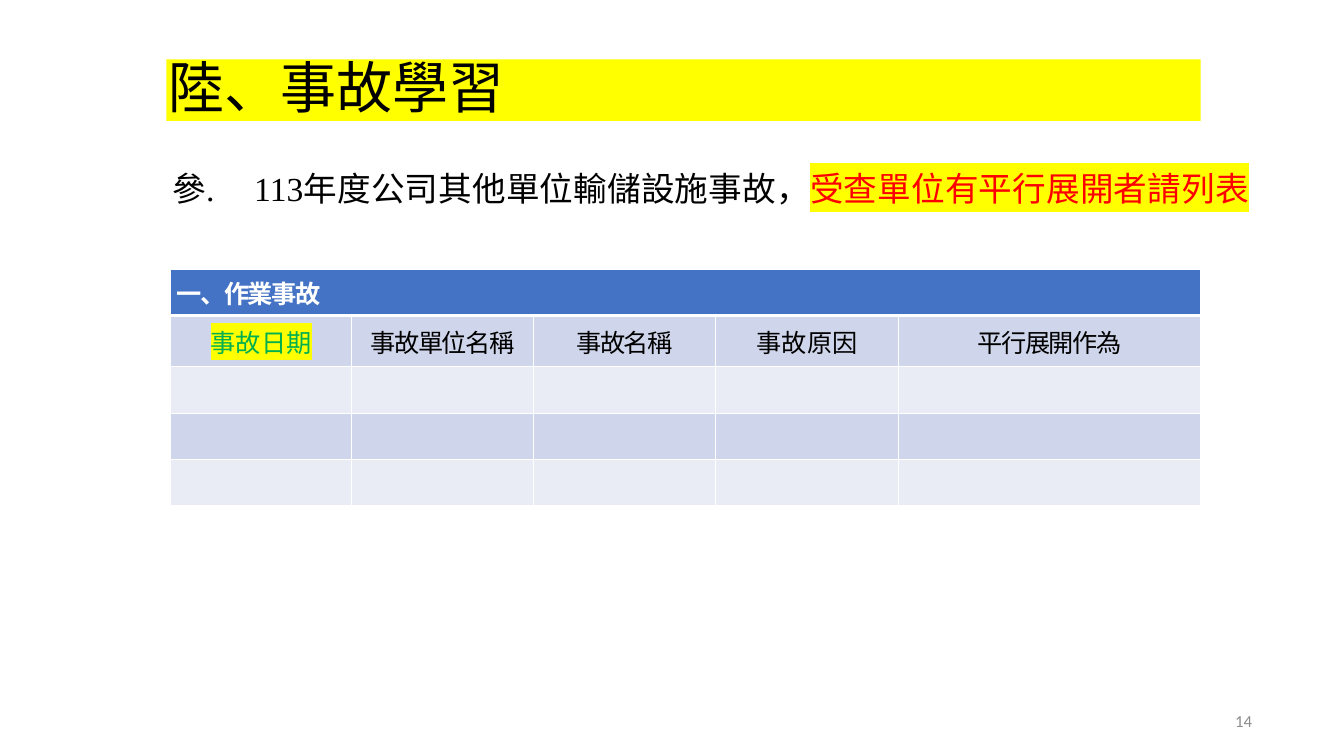
from pptx import Presentation
from pptx.dml.color import RGBColor
from pptx.enum.text import MSO_ANCHOR as Anchor, MSO_AUTO_SIZE as AutoSize, PP_ALIGN as Align
from pptx.oxml.ns import qn
from pptx.util import Inches, Pt
from lxml.etree import SubElement, Element

SERIF, SANS, NUMERAL = "Times New Roman", "Noto Sans CJK SC", "Calibri"
BLACK, WHITE, YELLOW, RED, GREEN = "000000", "FFFFFF", "FFFF00", "FF0000", "00B050"
HEADER_BLUE, BAND_DARK, BAND_LIGHT, GREY = "4472C4", "CFD5EA", "E9EBF5", "8C8C8C"


def color(value):
    return RGBColor.from_string(value)


def add_color(parent, tag, value):
    SubElement(SubElement(parent, qn(tag)), qn("a:srgbClr"), val=value)


class SlideBuilder:
    """Places elements on a grid whose columns and rows are 0.1 inch."""
    unit = 0.1

    def __init__(self, slide):
        self.slide = slide

    def grid(self, *steps):
        return [Inches(step * self.unit) for step in steps]

    def add_runs(self, paragraph, runs, size, font, bold=None):
        """Each run is (text, colour, letter spacing in points, highlight)."""
        paragraph.font.size, paragraph.font.name = Pt(size), font
        paragraph.font.bold = bold
        if len(runs) == 1:
            paragraph.font.color.rgb = color(runs[0][1])
        for text, ink, spacing, highlight in runs:
            run = paragraph.add_run()
            run.text = text
            if len(runs) > 1 or highlight:
                run.font.color.rgb = color(ink)
            props = run._r.get_or_add_rPr()
            props.set("spc", str(round(spacing * 100)))
            if highlight:
                add_color(props, "a:highlight", highlight)
            SubElement(props, qn("a:ea"), typeface=SANS)

    def text(self, place, runs, size, font, fill=None, anchor=Anchor.TOP, grow=True,
             align=None, line_spacing=None, margin=0, indent=0, numbering=None):
        box = self.slide.shapes.add_textbox(*self.grid(*place))
        if fill:
            box.fill.solid()
            box.fill.fore_color.rgb = color(fill)
        frame = box.text_frame
        frame.word_wrap, frame.vertical_anchor = True, anchor
        frame.margin_left = frame.margin_right = frame.margin_top = frame.margin_bottom = 0
        frame.auto_size = AutoSize.SHAPE_TO_FIT_TEXT if grow else AutoSize.NONE
        paragraph = frame.paragraphs[0]
        paragraph.alignment, paragraph.line_spacing = align, line_spacing
        props = paragraph._p.get_or_add_pPr()
        props.set("marL", str(Inches(margin)))
        props.set("indent", str(Inches(indent)))
        if numbering:
            scheme, start = numbering
            SubElement(props, qn("a:buAutoNum"), type=scheme, startAt=str(start))
        self.add_runs(paragraph, runs, size, font)

    def table(self, place, columns, rows):
        table = self.slide.shapes.add_table(len(rows), len(columns), *self.grid(*place)).table
        for column, width in zip(table.columns, self.grid(*columns)):
            column.width = width
        for row, height in zip(table.rows, self.grid(*rows)):
            row.height = height
        return table

    def cell(self, cell, fill, top=1, bottom=1):
        cell.fill.solid()
        cell.fill.fore_color.rgb = color(fill)
        cell.vertical_anchor = Anchor.MIDDLE
        cell.margin_left = cell.margin_right = Inches(0.06)
        cell.margin_top = cell.margin_bottom = Inches(0.03)
        edges = {"a:lnL": 1, "a:lnR": 1, "a:lnT": top, "a:lnB": bottom}
        for position, (edge, width) in enumerate(edges.items()):
            line = Element(qn(edge), w=str(Pt(width)))
            add_color(line, "a:solidFill", WHITE)
            cell._tc.get_or_add_tcPr().insert(position, line)


def main():
    deck = Presentation()
    deck.slide_width, deck.slide_height = Inches(13.33), Inches(7.5)
    page = SlideBuilder(deck.slides.add_slide(deck.slide_layouts[6]))

    # Title band
    page.text((16.5, 5.9, 102.6, 6.1), [("陸、事故學習", BLACK, 0.1, None)], 40, SERIF,
              fill=YELLOW, anchor=Anchor.MIDDLE, line_spacing=0.9, margin=0.02)

    # Accident table
    accidents = page.table((16.9, 26.7, 102.2, 23.5), [18, 18, 18.1, 18.1, 30],
                           [4.6, 5.1, 4.6, 4.6, 4.6])
    bands = [HEADER_BLUE, BAND_DARK, BAND_LIGHT, BAND_DARK, BAND_LIGHT]
    for index, (row, band) in enumerate(zip(accidents.rows, bands)):
        for cell in row.cells:
            page.cell(cell, band, top=3 if index == 1 else 1, bottom=3 if index == 0 else 1)

    category = accidents.cell(0, 0)
    category.merge(accidents.cell(0, 4))
    page.add_runs(category.text_frame.paragraphs[0], [("一、作業事故", WHITE, -1, None)],
                  18, SANS, bold=True)

    headings = [("事故日期", GREEN, 0, YELLOW), ("事故單位名稱", BLACK, -1, None),
                ("事故名稱", BLACK, -1, None), ("事故原因", BLACK, 0, None),
                ("平行展開作為", BLACK, -1, None)]
    for cell, heading in zip(accidents.rows[1].cells, headings):
        paragraph = cell.text_frame.paragraphs[0]
        paragraph.alignment = Align.CENTER
        page.add_runs(paragraph, [heading], 18, SANS, bold=False)

    # Page number
    page.text((94.2, 69.5, 30, 4), [("14", GREY, 0, None)], 12, NUMERAL,
              anchor=Anchor.MIDDLE, grow=False, align=Align.RIGHT)

    # Numbered instruction
    page.text((16.9, 16.7, 107.9, 4),
              [("113年度公司其他單位輸儲設施事故，", BLACK, 0.1, None),
               ("受查單位有平行展開者請列表", RED, 0.1, YELLOW)],
              24, SERIF, margin=0.83, indent=-0.81, numbering=("ea1ChtPeriod", 3))

    deck.save("out.pptx")


if __name__ == "__main__":
    main()
